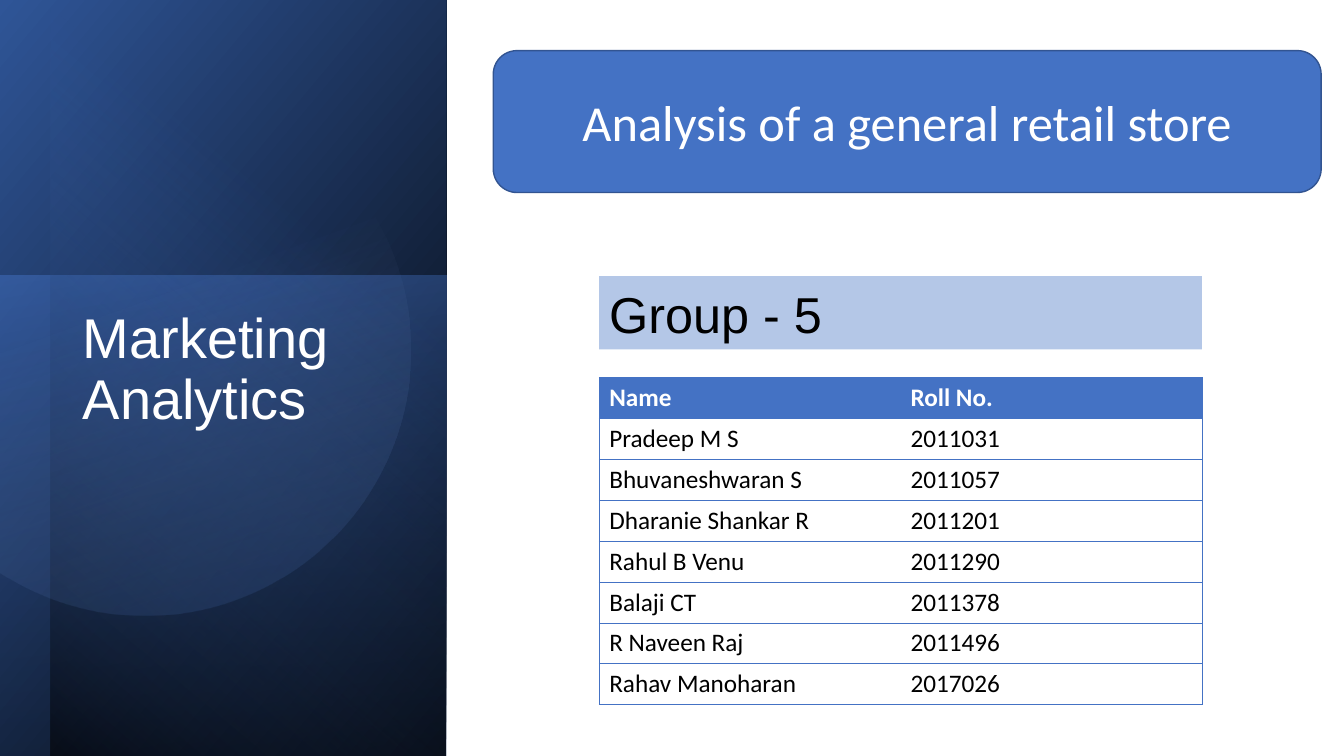
import math
from lxml import etree
from pptx import Presentation, util as u
from pptx.dml.color import RGBColor
from pptx.enum import shapes, text
from pptx.oxml import ns

BLACK = RGBColor(0x00, 0x00, 0x00)
WHITE = RGBColor(0xFF, 0xFF, 0xFF)
BLUE = RGBColor(0x44, 0x72, 0xC4)
OUTLINE = RGBColor(0x32, 0x54, 0x91)
DEEP = RGBColor(0x2F, 0x55, 0x97)
NAVY = RGBColor(0x20, 0x38, 0x64)
SKY = RGBColor(0x8F, 0xAA, 0xDC)
PALE = RGBColor(0xB4, 0xC7, 0xE7)

SLIDE = (0, 0, u.Inches(13.33), u.Inches(7.5))
MEMBERS = [
    ("Name", "Roll No."),
    ("Pradeep M S", "2011031"),
    ("Bhuvaneshwaran S", "2011057"),
    ("Dharanie Shankar R", "2011201"),
    ("Rahul B Venu", "2011290"),
    ("Balaji CT", "2011378"),
    ("R Naveen Raj", "2011496"),
    ("Rahav Manoharan", "2017026"),
]


def part(box, x, y, w, h):
    """Return the part of a box given in percent of its size."""
    left, top, width, height = box
    return (left + round(width * x / 100), top + round(height * y / 100),
            round(width * w / 100), round(height * h / 100))


def sub(parent, tag, **attrs):
    """Add a drawing element with the given attributes."""
    el = etree.SubElement(parent, ns.qn("a:" + tag))
    for key, value in attrs.items():
        el.set(key, str(value))
    return el


def gradient(sp, stops, angle):
    """Fill a shape with (position, colour, opacity) stops at a clockwise angle."""
    sp.shadow.inherit = False
    sp.line.fill.background()
    sp.fill.gradient()
    grad = sp._element.spPr.find(ns.qn("a:gradFill"))
    for child in list(grad):
        grad.remove(child)
    grad.set("rotWithShape", "1")
    stop_list = sub(grad, "gsLst")
    for pos, color, opacity in stops:
        stop = sub(stop_list, "gs", pos=pos * 1000)
        clr = sub(stop, "srgbClr", val=color)
        if opacity < 100:
            sub(clr, "alpha", val=opacity * 1000)
    sub(grad, "lin", ang=angle * 60000, scaled=0)


def turned_rect(s, box, rotation, flip, stops, angle):
    """Add a quarter-turned gradient rectangle that covers a box."""
    x, y, w, h = box
    sp = s.shapes.add_shape(shapes.MSO_SHAPE.RECTANGLE,
                            x + (w - h) // 2, y + (h - w) // 2, h, w)
    sp.rotation = rotation
    if flip:
        sp._element.spPr.find(ns.qn("a:xfrm")).set("flipH", "1")
    gradient(sp, stops, angle)


def cut_circle(s, box):
    """Add a translucent circle cut off by the left edge of a box."""
    x, y, w, h = box
    cx, cy, radius = x + 0.324 * w, y + 0.463 * h, 0.351 * h
    reach = math.acos((x - cx) / radius)
    angles = [reach * (i / 60 - 1) for i in range(121)]
    points = [(round(cx + radius * math.cos(a)), round(cy + radius * math.sin(a)))
              for a in angles]
    builder = s.shapes.build_freeform(*points[0])
    builder.add_line_segments(points[1:], close=True)
    gradient(builder.convert_to_shape(), [(39, SKY, 0), (100, DEEP, 26)], 70)


def write(tf, words, font, size, color, bold=False):
    """Write one run into the first paragraph and return the paragraph."""
    p = tf.paragraphs[0]
    r = p.add_run()
    r.text = words
    r.font.name, r.font.size, r.font.bold = font, u.Pt(size), bold
    r.font.color.rgb = color
    return p


def title_panel(s, box):
    """Build the dark panel with the slide title."""
    turned_rect(s, box, 90, True, [(0, BLACK, 100), (100, DEEP, 100)], 50)
    turned_rect(s, part(box, 0, 36.5, 100, 63.5), 270, False,
                [(0, BLUE, 50), (100, NAVY, 0)], 170)
    turned_rect(s, part(box, 11.3, 0, 88.7, 100), 270, True,
                [(0, BLACK, 59), (69, BLUE, 0)], 140)
    cut_circle(s, box)
    title = s.shapes.title
    title.left, title.top, title.width, title.height = part(box, 16.3, 40.4, 71.3, 42)
    tf = title.text_frame
    tf.word_wrap, tf.auto_size = True, text.MSO_AUTO_SIZE.NONE
    tf.vertical_anchor = text.MSO_ANCHOR.TOP
    p = write(tf, "Marketing Analytics", "Arial", 40, WHITE)
    p.alignment, p.line_spacing = text.PP_ALIGN.LEFT, 0.9
    s.shapes._spTree.append(title._element)


def label(s, kind, box, fill, anchor):
    """Add a filled shape and return it ready for text."""
    sp = s.shapes.add_shape(kind, *box)
    sp.shadow.inherit = False
    sp.fill.solid()
    sp.fill.fore_color.rgb = fill
    sp.line.fill.background()
    sp.text_frame.word_wrap = True
    sp.text_frame.vertical_anchor = anchor
    return sp


def border(cell, sides):
    """Draw thin blue lines on some sides of a cell and none on the others."""
    props = cell._tc.get_or_add_tcPr()
    for i, side in enumerate("LRTB"):
        ln = etree.Element(ns.qn("a:ln" + side), w=str(u.Pt(0.5)))
        if side in sides:
            sub(sub(ln, "solidFill"), "srgbClr", val=BLUE)
        else:
            sub(ln, "noFill")
        props.insert(i, ln)


def member_table(s, box):
    """Build the table of group members."""
    table = s.shapes.add_table(len(MEMBERS), 2, *box).table
    table.horz_banding = False
    for i, row in enumerate(MEMBERS):
        for j, words in enumerate(row):
            cell = table.cell(i, j)
            if i == 0:
                cell.fill.solid()
                cell.fill.fore_color.rgb = BLUE
            else:
                cell.fill.background()
            write(cell.text_frame, words, "Calibri", 18,
                  BLACK if i else WHITE, bold=i == 0)
            border(cell, "TB" + "LR"[j])


def content(s, box):
    """Build the banner, the group heading and the member table."""
    banner = label(s, shapes.MSO_SHAPE.ROUNDED_RECTANGLE, part(box, 0, 0, 100, 21.7),
                   BLUE, text.MSO_ANCHOR.MIDDLE)
    banner.line.color.rgb, banner.line.width = OUTLINE, u.Pt(1)
    p = write(banner.text_frame, "Analysis of a general retail store",
              "Calibri", 36, WHITE)
    p.alignment = text.PP_ALIGN.CENTER
    group = label(s, shapes.MSO_SHAPE.RECTANGLE, part(box, 12.8, 34.5, 72.8, 11.2),
                  PALE, text.MSO_ANCHOR.BOTTOM)
    p = write(group.text_frame, "Group - 5", "Arial", 36, BLACK)
    p.alignment, p.line_spacing = text.PP_ALIGN.LEFT, 0.9
    member_table(s, part(box, 12.8, 50, 72.8, 50))


def main():
    """Build and save the slide."""
    prs = Presentation()
    prs.slide_width, prs.slide_height = SLIDE[2:]
    s = prs.slides.add_slide(prs.slide_layouts[5])
    title_panel(s, part(SLIDE, 0, 0, 33.2, 100))
    content(s, part(SLIDE, 36.7, 6.7, 61.6, 86.5))
    prs.save("out.pptx")


if __name__ == "__main__":
    main()
